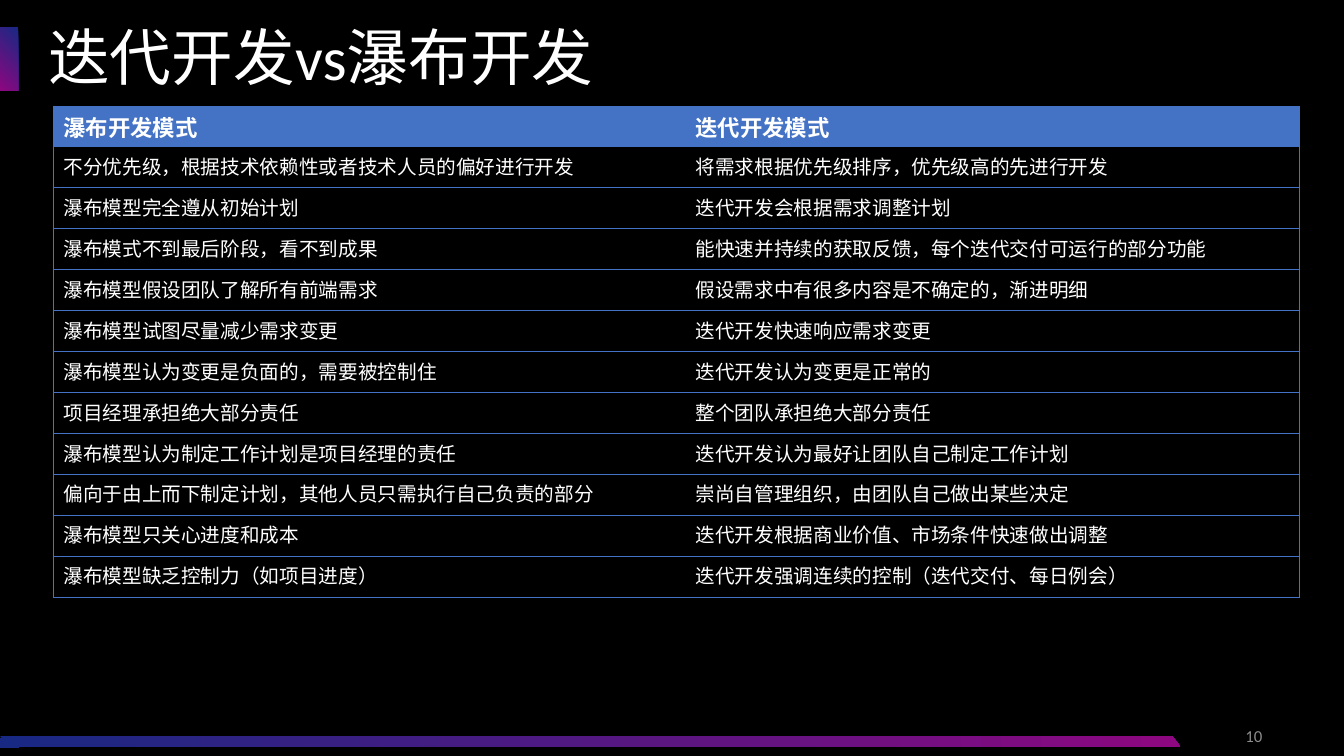
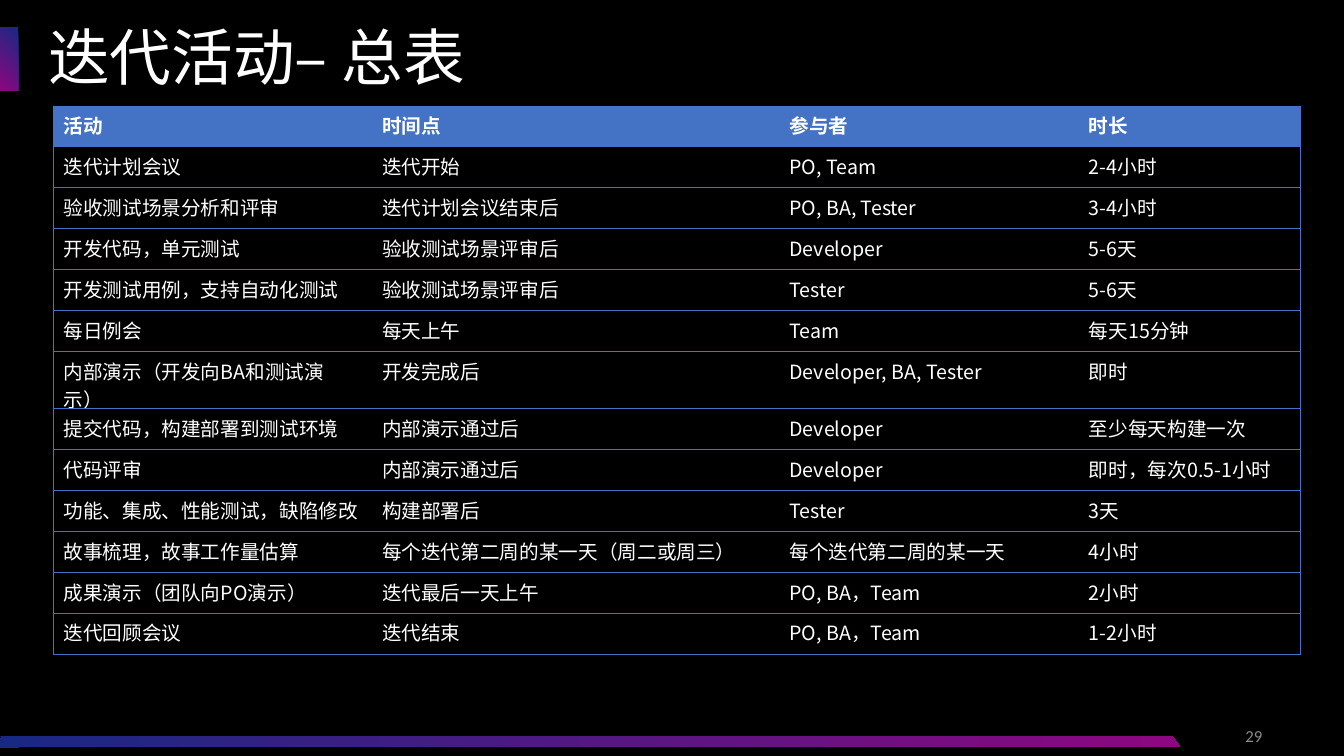
import pptx
import pptx.dml.color
import pptx.enum.shapes
import pptx.enum.text
import pptx.oxml.ns
import pptx.util
from lxml import etree

RGBColor = pptx.dml.color.RGBColor
Inches = pptx.util.Inches
Pt = pptx.util.Pt
qn = pptx.oxml.ns.qn

BLACK = RGBColor(0x00, 0x00, 0x00)
WHITE = RGBColor(0xFF, 0xFF, 0xFF)
GREY = RGBColor(0x8C, 0x8C, 0x8C)
NAVY = RGBColor(0x18, 0x29, 0x83)
MAGENTA = RGBColor(0x8D, 0x07, 0x80)
TABLE_BLUE = RGBColor(0x44, 0x72, 0xC4)
LATIN_FONT = "Calibri"
CHINESE_FONT = "Noto Sans CJK SC"
NO_GRID_STYLE = "{2D5ABB26-0587-4C30-8999-92F81FD0307C}"

SLIDE_BOX = (0, 0, 13.33, 7.5)
TITLE_BOX = (0.38, 0.27, 11.1, 0.63)
TAB_BOX = (0, 0.27, 0.18, 0.63)
BAND_BOX = (0, 7.3, 11.71, 0.11)
NUMBER_BOX = (9.62, 7.1, 3, 0.4)
TABLE_ORIGIN = (0.53, 1.05)
ROW_HEIGHT = 0.406

COMPARISON = [
    ("瀑布开发模式", "迭代开发模式"),
    ("不分优先级，根据技术依赖性或者技术人员的偏好进行开发", "将需求根据优先级排序，优先级高的先进行开发"),
    ("瀑布模型完全遵从初始计划", "迭代开发会根据需求调整计划"),
    ("瀑布模式不到最后阶段，看不到成果", "能快速并持续的获取反馈，每个迭代交付可运行的部分功能"),
    ("瀑布模型假设团队了解所有前端需求", "假设需求中有很多内容是不确定的，渐进明细"),
    ("瀑布模型试图尽量减少需求变更", "迭代开发快速响应需求变更"),
    ("瀑布模型认为变更是负面的，需要被控制住", "迭代开发认为变更是正常的"),
    ("项目经理承担绝大部分责任", "整个团队承担绝大部分责任"),
    ("瀑布模型认为制定工作计划是项目经理的责任", "迭代开发认为最好让团队自己制定工作计划"),
    ("偏向于由上而下制定计划，其他人员只需执行自己负责的部分", "崇尚自管理组织，由团队自己做出某些决定"),
    ("瀑布模型只关心进度和成本", "迭代开发根据商业价值、市场条件快速做出调整"),
    ("瀑布模型缺乏控制力（如项目进度）", "迭代开发强调连续的控制（迭代交付、每日例会）"),
]
ACTIVITIES = [
    ("活动", "时间点", "参与者", "时长"),
    ("迭代计划会议", "迭代开始", "PO, Team", "2-4小时"),
    ("验收测试场景分析和评审", "迭代计划会议结束后", "PO, BA, Tester", "3-4小时"),
    ("开发代码，单元测试", "验收测试场景评审后", "Developer", "5-6天"),
    ("开发测试用例，支持自动化测试", "验收测试场景评审后", "Tester", "5-6天"),
    ("每日例会", "每天上午", "Team", "每天15分钟"),
    ("内部演示（开发向BA和测试演示）", "开发完成后", "Developer, BA, Tester", "即时"),
    ("提交代码，构建部署到测试环境", "内部演示通过后", "Developer", "至少每天构建一次"),
    ("代码评审", "内部演示通过后", "Developer", "即时，每次0.5-1小时"),
    ("功能、集成、性能测试，缺陷修改", "构建部署后", "Tester", "3天"),
    ("故事梳理，故事工作量估算", "每个迭代第二周的某一天（周二或周三）", "每个迭代第二周的某一天", "4小时"),
    ("成果演示（团队向PO演示）", "迭代最后一天上午", "PO, BA，Team", "2小时"),
    ("迭代回顾会议", "迭代结束", "PO, BA，Team", "1-2小时"),
]


def write_text(frame, text, size, color=WHITE, font=CHINESE_FONT, bold=False,
               align=pptx.enum.text.PP_ALIGN.LEFT, spacing=None):
    """Write one formatted paragraph into a text frame."""
    frame.word_wrap = True
    paragraph = frame.paragraphs[0]
    paragraph.alignment = align
    paragraph.line_spacing = spacing
    run = paragraph.add_run()
    run.text = text
    run.font.size = Pt(size)
    run.font.bold = bold
    run.font.name = font
    run.font.color.rgb = color
    east_asian = etree.SubElement(run.font._element, qn("a:ea"))
    east_asian.set("typeface", CHINESE_FONT)


def paint_gradient(shape, angle):
    """Fill a shape with the navy to magenta gradient and drop its line."""
    shape.shadow.inherit = False
    shape.line.fill.background()
    shape.fill.gradient()
    shape.fill.gradient_angle = angle
    for stop, color in zip(shape.fill.gradient_stops, (NAVY, MAGENTA)):
        stop.color.rgb = color


def add_title(slide, box, text):
    """Place and format the title placeholder."""
    title = slide.shapes.title
    title.left, title.top, title.width, title.height = map(Inches, box)
    frame = title.text_frame
    frame.auto_size = pptx.enum.text.MSO_AUTO_SIZE.NONE
    frame.vertical_anchor = pptx.enum.text.MSO_ANCHOR.TOP
    frame.margin_top = 0
    write_text(frame, text, 44, font=LATIN_FONT, spacing=0.9)


def add_tab(slide, box):
    """Draw the coloured tab at the left of the title."""
    tab = slide.shapes.add_shape(
        pptx.enum.shapes.MSO_SHAPE.RECTANGLE, *map(Inches, box))
    paint_gradient(tab, 225)


def add_band(slide, box):
    """Draw the slanted band at the foot with its square left end."""
    left, top, width, height = box
    slant = height * 0.775
    right, bottom = left + width, top + height
    builder = slide.shapes.build_freeform(
        Inches(left), Inches(top), scale=1.0)
    builder.add_line_segments(
        [(Inches(x), Inches(y)) for x, y in (
            (right - slant, top), (right, bottom), (left + slant, bottom))])
    paint_gradient(builder.convert_to_shape(), 0)
    end = slide.shapes.add_shape(
        pptx.enum.shapes.MSO_SHAPE.RECTANGLE,
        *map(Inches, (left, top + 0.02, 0.19, 0.1)))
    end.shadow.inherit = False
    end.fill.solid()
    end.fill.fore_color.rgb = NAVY
    end.line.fill.background()


def add_number(slide, box, number):
    """Write the page number at the right of the foot."""
    frame = slide.shapes.add_textbox(*map(Inches, box)).text_frame
    frame.vertical_anchor = pptx.enum.text.MSO_ANCHOR.MIDDLE
    write_text(frame, number, 12, color=GREY, font=LATIN_FONT,
               align=pptx.enum.text.PP_ALIGN.RIGHT)


def add_borders(cell, sides):
    """Add thin blue lines on the named sides of a cell."""
    properties = cell._tc.get_or_add_tcPr()
    for side in sides:
        line = etree.SubElement(
            properties, qn("a:ln" + side), w=str(Pt(0.5)))
        fill = etree.SubElement(line, qn("a:solidFill"))
        etree.SubElement(fill, qn("a:srgbClr"), val=str(TABLE_BLUE))


def add_grid(slide, origin, rows, widths, header_size):
    """Add a table with a blue header, row lines and an outer frame."""
    left, top = origin
    box = (left, top, sum(widths), ROW_HEIGHT * len(rows))
    table = slide.shapes.add_table(
        len(rows), len(widths), *map(Inches, box)).table
    table.horz_banding = False
    table._tbl.tblPr.find(qn("a:tableStyleId")).text = NO_GRID_STYLE
    for column, width in zip(table.columns, widths):
        column.width = Inches(width)
    last = len(widths) - 1
    for row_index, row in enumerate(rows):
        header = row_index == 0
        for column_index, text in enumerate(row):
            cell = table.cell(row_index, column_index)
            outer = ["L"] * (column_index == 0) + ["R"] * (column_index == last)
            add_borders(cell, outer + ["T", "B"])
            if header:
                cell.fill.solid()
                cell.fill.fore_color.rgb = TABLE_BLUE
            else:
                cell.fill.background()
            write_text(cell.text_frame, text,
                       header_size if header else 14, bold=header)


def add_table_slide(presentation, title, number, rows, widths, header_size):
    """Build a slide with the shared frame and one table."""
    slide = presentation.slides.add_slide(presentation.slide_layouts[5])
    slide.background.fill.solid()
    slide.background.fill.fore_color.rgb = BLACK
    add_tab(slide, TAB_BOX)
    add_number(slide, NUMBER_BOX, number)
    add_band(slide, BAND_BOX)
    add_title(slide, TITLE_BOX, title)
    add_grid(slide, TABLE_ORIGIN, rows, widths, header_size)


def main():
    """Build and save the presentation."""
    presentation = pptx.Presentation()
    presentation.slide_width, presentation.slide_height = map(
        Inches, SLIDE_BOX[2:])
    add_table_slide(presentation, "迭代开发vs瀑布开发", "10",
                    COMPARISON, (6.27, 6.09), 16)
    add_table_slide(presentation, "迭代活动– 总表", "29",
                    ACTIVITIES, (3.16, 4.04, 2.97, 2.2), 14)
    presentation.save("out.pptx")


if __name__ == "__main__":
    main()
